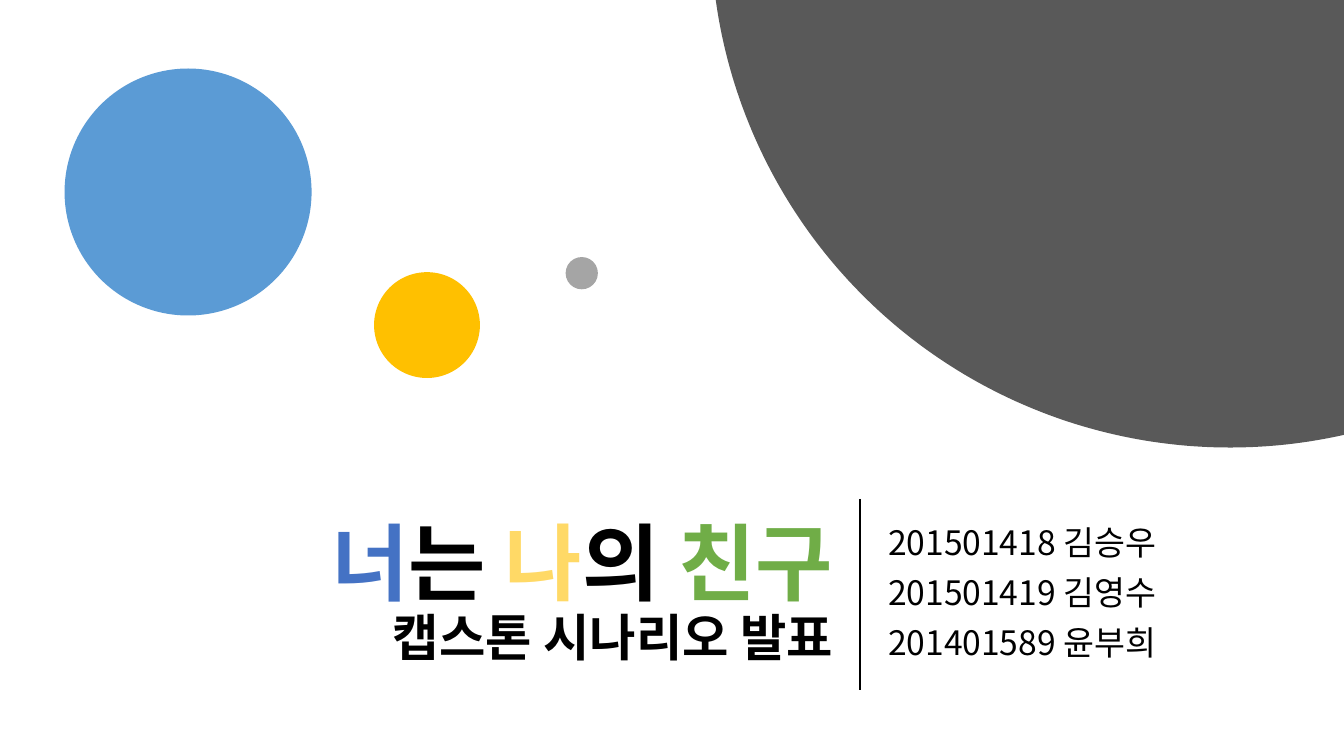
from math import atan2, cos, pi, sin, sqrt

from lxml.etree import SubElement
from pptx import Presentation
from pptx.dml.color import RGBColor
from pptx.enum.shapes import MSO_CONNECTOR, MSO_SHAPE
from pptx.enum.text import MSO_ANCHOR, PP_ALIGN
from pptx.oxml.ns import qn
from pptx.util import Inches, Pt

WIDE, HIGH = 13.33, 7.5
FONT = "Noto Sans CJK KR"
BLACK = "000000"
TITLE = [("너", "4472C4"), ("는 ", BLACK), ("나", "FFD966"),
         ("의 ", BLACK), ("친구", "70AD47")]
TEAM = ["201501418 김승우", "201501419 김영수", "201401589 윤부희"]
# left, top, diameter, fill
DOTS = [(0.64, 0.68, 2.45, "5B9BD5"), (3.71, 2.7, 1.05, "FFC000"),
        (5.61, 2.55, 0.32, "A5A5A5")]


def color(text):
    return RGBColor.from_string(text)


def paint(shape, fill):
    shape.shadow.inherit = False
    shape.fill.solid()
    shape.fill.fore_color.rgb = color(fill)
    shape.line.fill.background()


def apply(target, form):
    for name, value in form.items():
        setattr(target, name, value)


def add_run(para, text, size, fill, bold=False):
    run = para.add_run()
    run.text = text
    apply(run.font, {"name": FONT, "size": Pt(size), "bold": bold})
    run.font.color.rgb = color(fill)
    SubElement(run.font._element, qn("a:ea")).set("typeface", FONT)


def add_frame(slide, box):
    frame = slide.shapes.add_textbox(*map(Inches, box)).text_frame
    apply(frame, {"word_wrap": True, "vertical_anchor": MSO_ANCHOR.MIDDLE})
    return frame


def add_dots(slide):
    for left, top, size, fill in DOTS:
        dot = slide.shapes.add_shape(
            MSO_SHAPE.OVAL, *map(Inches, (left, top, size, size)))
        paint(dot, fill)


def add_disc(slide, mid_x, mid_y, radius, steps=120):
    """Draw the part of a large disc that lies within the top right corner."""
    edge = WIDE - mid_x
    start = atan2(sqrt(radius ** 2 - edge ** 2), edge)
    end = atan2(-mid_y, -sqrt(radius ** 2 - mid_y ** 2))
    angles = [start + (end - start) * i / steps for i in range(steps + 1)]
    arc = [(Inches(mid_x + radius * cos(a)), Inches(mid_y + radius * sin(a)))
           for a in angles]
    pen = slide.shapes.build_freeform(Inches(WIDE), 0)
    pen.add_line_segments(arc, close=True)
    paint(pen.convert_to_shape(), "595959")


def add_title(slide, box):
    para = add_frame(slide, box).paragraphs[0]
    apply(para, {"alignment": PP_ALIGN.RIGHT, "line_spacing": 0.9})
    for text, fill in TITLE:
        add_run(para, text, 60, fill, True)
    para.add_line_break()
    add_run(para, "캡스톤 시나리오 발표", 36, BLACK, True)


def add_team(slide, box):
    frame = add_frame(slide, box)
    for i, name in enumerate(TEAM):
        para = frame.add_paragraph() if i else frame.paragraphs[0]
        apply(para, {"line_spacing": 0.9, "space_before": Pt(10)})
        add_run(para, name, 24, BLACK)


def add_rule(slide, x, top, height):
    rule = slide.shapes.add_connector(
        MSO_CONNECTOR.STRAIGHT, *map(Inches, (x, top, x, top + height)))
    rule.line.color.rgb = color(BLACK)
    rule.line.width = Pt(1.5)
    SubElement(rule._element.spPr, qn("a:effectLst"))


def add_cover(deck):
    slide = deck.slides.add_slide(deck.slide_layouts[6])
    top, height = 4.95, 1.9
    add_title(slide, (0.92, top, 7.44, height))
    add_team(slide, (8.71, top, 3.56, height))
    add_dots(slide)
    add_disc(slide, 12.2, -0.71, 5.15)
    add_rule(slide, 8.53, top, height)


def main():
    deck = Presentation()
    apply(deck, {"slide_width": Inches(WIDE), "slide_height": Inches(HIGH)})
    add_cover(deck)
    deck.save("out.pptx")


if __name__ == "__main__":
    main()
